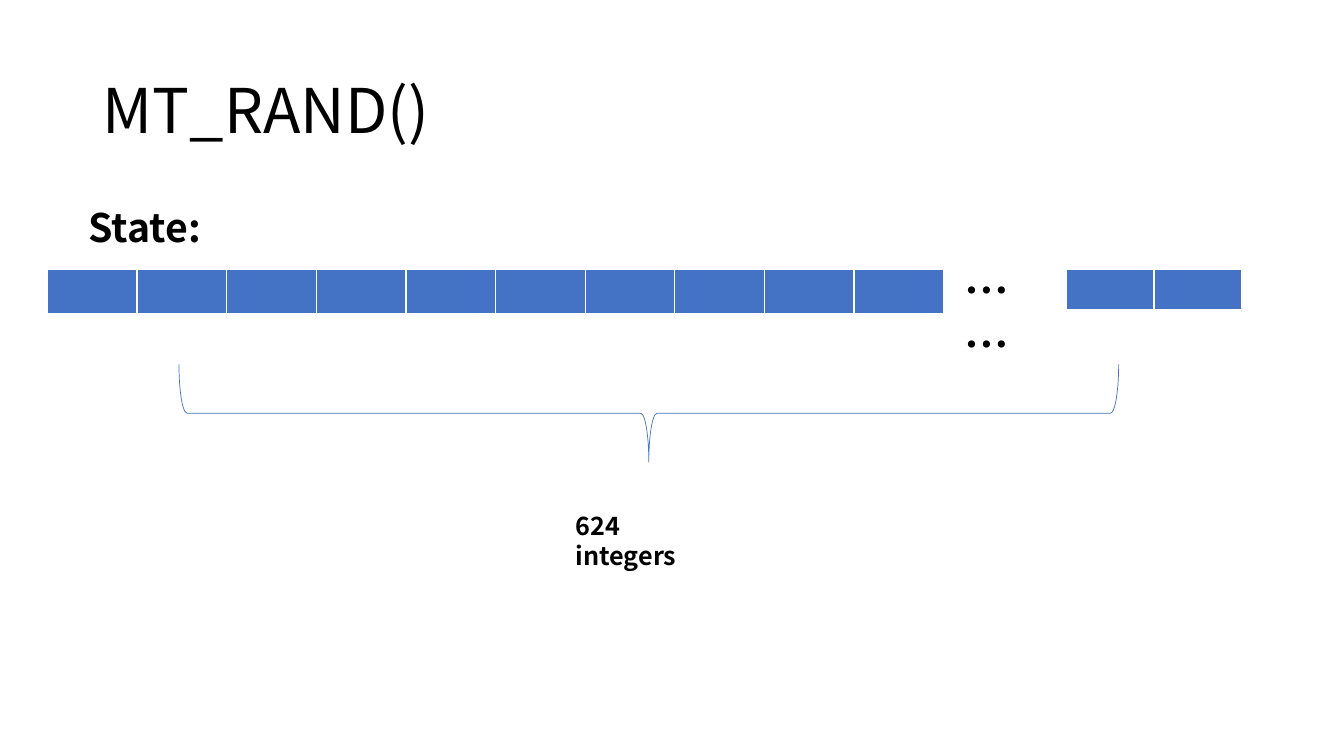
"""Build the MT_RAND() slide showing the 624-integer generator state."""
from lxml import etree
from pptx import Presentation
from pptx.dml.color import RGBColor
from pptx.enum.shapes import MSO_SHAPE
from pptx.enum.text import MSO_ANCHOR
from pptx.oxml.ns import qn
from pptx.util import Inches, Pt

BLACK = RGBColor(0x00, 0x00, 0x00)
BLUE = RGBColor(0x44, 0x72, 0xC4)
WHITE = RGBColor(0xFF, 0xFF, 0xFF)
FONT = "Noto Sans CJK SC"


def write(tf, text, size, bold, spacing):
    p = tf.paragraphs[0]
    p.line_spacing = spacing
    r = p.add_run()
    r.text = text
    r.font.name = FONT
    r.font.size = Pt(size)
    r.font.bold = bold
    r.font.color.rgb = BLACK
    etree.SubElement(r.font._element, qn("a:ea"), typeface=FONT)


def add_border(cell, side, width):
    ln = etree.SubElement(cell._tc.get_or_add_tcPr(), qn(f"a:{side}"), w=str(Pt(width)))
    fill = etree.SubElement(ln, qn("a:solidFill"))
    etree.SubElement(fill, qn("a:srgbClr"), val=str(WHITE))


prs = Presentation()
prs.slide_width, prs.slide_height = Inches(13.33), Inches(7.5)
s = prs.slides.add_slide(prs.slide_layouts[5])

title = s.shapes.title
title.left, title.top = Inches(0.92), Inches(0.4)
title.width, title.height = Inches(11.5), Inches(1.45)
title.text_frame.vertical_anchor = MSO_ANCHOR.MIDDLE
write(title.text_frame, "MT_RAND()", 44, False, 0.9)
title.text_frame.paragraphs[0].alignment = 1

for left, width, count, height in [(0.47, 8.89, 10, 0.45), (10.58, 1.73, 2, 0.41)]:
    frame = s.shapes.add_table(1, count, Inches(left), Inches(2.67), Inches(width), Inches(height))
    for cell in frame.table.iter_cells():
        for side, weight in [("lnL", 1), ("lnR", 1), ("lnT", 1), ("lnB", 3)]:
            add_border(cell, side, weight)
        cell.fill.solid()
        cell.fill.fore_color.rgb = BLUE

brace = s.shapes.add_shape(
    MSO_SHAPE.RIGHT_BRACE, Inches(5.95), Inches(-0.56), Inches(0.97), Inches(9.32))
brace.rotation = 90
brace.shadow.inherit = False
brace.fill.background()
brace.line.color.rgb = BLUE
brace.line.width = Pt(0.5)

for text, size, left, top, width, height in [
    ("State:", 28, 0.78, 1.97, 2.4, 0.57),
    ("……", 32, 9.47, 2.56, 0.93, 0.64),
    ("624 integers", 18, 5.61, 5.01, 1.64, 0.4),
]:
    sp = s.shapes.add_textbox(Inches(left), Inches(top), Inches(width), Inches(height))
    sp.text_frame.word_wrap = True
    write(sp.text_frame, text, size, True, 1)

prs.save("out.pptx")
